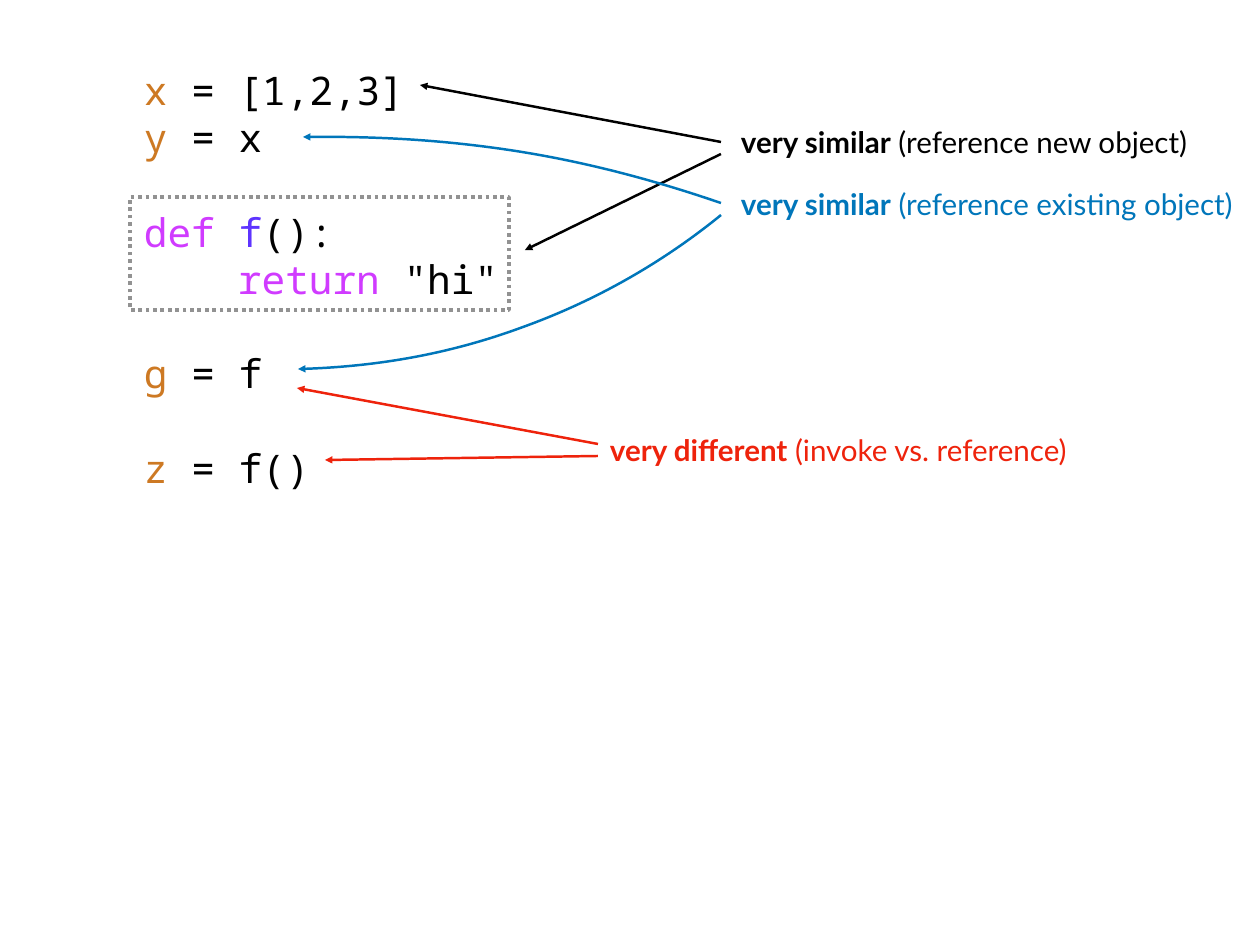
from pptx import Presentation
from pptx.dml.color import RGBColor
from pptx.enum.dml import MSO_LINE
from pptx.enum.shapes import MSO_CONNECTOR, MSO_SHAPE
from pptx.enum.text import MSO_ANCHOR
from pptx.oxml.ns import qn
from pptx.util import Pt
from lxml.etree import SubElement

SCALE = 914400 / 88.6
COLORS = {
    "black": "000000", "blue": "0076BA", "red": "EE230C", "gray": "929292",
    "name": "CD7923", "keyword": "D03BFF", "function": "5E34FF",
}
CODE_FONT, LABEL_FONT = "Noto Sans Mono", "Lato"
CODE_PITCH = Pt(38.4)
INDENT = 94

# Each line: blank line above it, indent, spans of (text, colour)
CODE_LINES = [
    (False, 0, [("x", "name"), (" = [1,2,3]", "black")]),
    (False, 0, [("y", "name"), (" = x", "black")]),
    (True, 0, [("def ", "keyword"), ("f", "function"), ("():", "black")]),
    (False, INDENT, [("return", "keyword"), (' "hi"', "black")]),
    (True, 0, [("g", "name"), (" = f", "black")]),
    (True, 0, [("z", "name"), (" = f()", "black")]),
]
LABELS = [
    (736, 120, 470, "very similar", " (reference new object)", "black"),
    (736, 182, 510, "very similar", " (reference existing object)", "blue"),
    (605, 428, 480, "very different", " (invoke vs. reference)", "red"),
]
ARROWS = [
    ((721, 142), (420, 85), "black"),
    ((721, 154), (525, 250), "black"),
    ((598, 444), (297, 388), "red"),
    ((598, 456), (325, 460), "red"),
]
# Start point, then three Bezier points for each section
CURVES = [
    [(721, 203), (654, 180), (586, 162), (516, 151),
     (445, 140), (374, 136), (303, 137)],
    [(721, 215), (662, 263), (595, 301), (523, 327),
     (450, 354), (374, 367), (298, 369)],
]


def px(*lengths):
    """Turn pixel lengths into a list of EMU."""
    return [round(length * SCALE) for length in lengths]


def rgb(name):
    """Look up a named colour."""
    return RGBColor.from_string(COLORS[name])


def add_span(para, text, font, size, color, bold=False):
    """Add one formatted run to a paragraph."""
    span = para.add_run()
    span.text = text
    span.font.name = font
    span.font.size = Pt(size)
    span.font.bold = bold
    span.font.color.rgb = rgb(color)


def add_text_box(page, left, top, width, height, anchor):
    """Add an empty wrapping text box and return its text frame."""
    frame = page.shapes.add_textbox(*px(left, top, width, height)).text_frame
    frame.word_wrap = True
    frame.vertical_anchor = anchor
    inset, = px(5)
    frame.margin_left = frame.margin_right = inset
    frame.margin_top = frame.margin_bottom = inset
    return frame


def add_code(page, left, top, width, height):
    """Add the code listing, one paragraph per line."""
    frame = add_text_box(page, left, top, width, height, MSO_ANCHOR.TOP)
    for index, (gap, indent, spans) in enumerate(CODE_LINES):
        para = frame.add_paragraph() if index else frame.paragraphs[0]
        para.line_spacing = CODE_PITCH
        para.space_before = CODE_PITCH if gap else Pt(0)
        if indent:
            properties = para._p.get_or_add_pPr()
            properties.set("marL", str(px(indent)[0]))
            properties.set("indent", "0")
        for text, color in spans:
            add_span(para, text, CODE_FONT, 32, color)


def add_label(page, left, top, width, strong, rest, color):
    """Add a one-line remark that starts in bold."""
    frame = add_text_box(page, left, top, width, 44, MSO_ANCHOR.MIDDLE)
    para = frame.paragraphs[0]
    add_span(para, strong, LABEL_FONT, 24, color, bold=True)
    add_span(para, rest, LABEL_FONT, 24, color)


def add_frame(page, left, top, width, height):
    """Add the dotted frame around the function definition."""
    box = page.shapes.add_shape(MSO_SHAPE.RECTANGLE, *px(left, top, width, height))
    box.shadow.inherit = False
    box.fill.background()
    box.line.color.rgb = rgb("gray")
    box.line.width = Pt(3)
    box.line.dash_style = MSO_LINE.ROUND_DOT


def style_arrow(arrow, color):
    """Give a line its colour, width and arrowhead, without a shadow."""
    arrow.line.color.rgb = rgb(color)
    arrow.line.width = Pt(2)
    properties = arrow.element.spPr
    SubElement(properties.find(qn("a:ln")), qn("a:tailEnd"), type="triangle")
    SubElement(properties, qn("a:effectLst"))


def add_arrow(page, start, end, color):
    """Add a straight arrow."""
    arrow = page.shapes.add_connector(MSO_CONNECTOR.STRAIGHT, *px(*start, *end))
    style_arrow(arrow, color)


def add_curved_arrow(page, points, color):
    """Add an arrow along cubic Bezier sections."""
    start, *rest = [px(*point) for point in points]
    builder = page.shapes.build_freeform(*start)
    builder.add_line_segments(rest, close=False)
    arrow = builder.convert_to_shape()
    arrow.fill.background()
    segments = list(arrow.element.iter(qn("a:lnTo")))
    outline = segments[0].getparent()
    for first in range(0, len(segments), 3):
        section = SubElement(outline, qn("a:cubicBezTo"))
        for segment in segments[first:first + 3]:
            section.append(segment[0])
            outline.remove(segment)
    style_arrow(arrow, color)


def main():
    """Build the slide and save it."""
    deck = Presentation()
    deck.slide_width, deck.slide_height = px(1260, 945)
    page = deck.slides.add_slide(deck.slide_layouts[6])
    add_code(page, 139, 61, 391, 431)
    add_frame(page, 130, 197, 379, 113)
    for label in LABELS:
        add_label(page, *label)
    for arrow in ARROWS:
        add_arrow(page, *arrow)
    for points in CURVES:
        add_curved_arrow(page, points, "blue")
    deck.save("out.pptx")


main()
